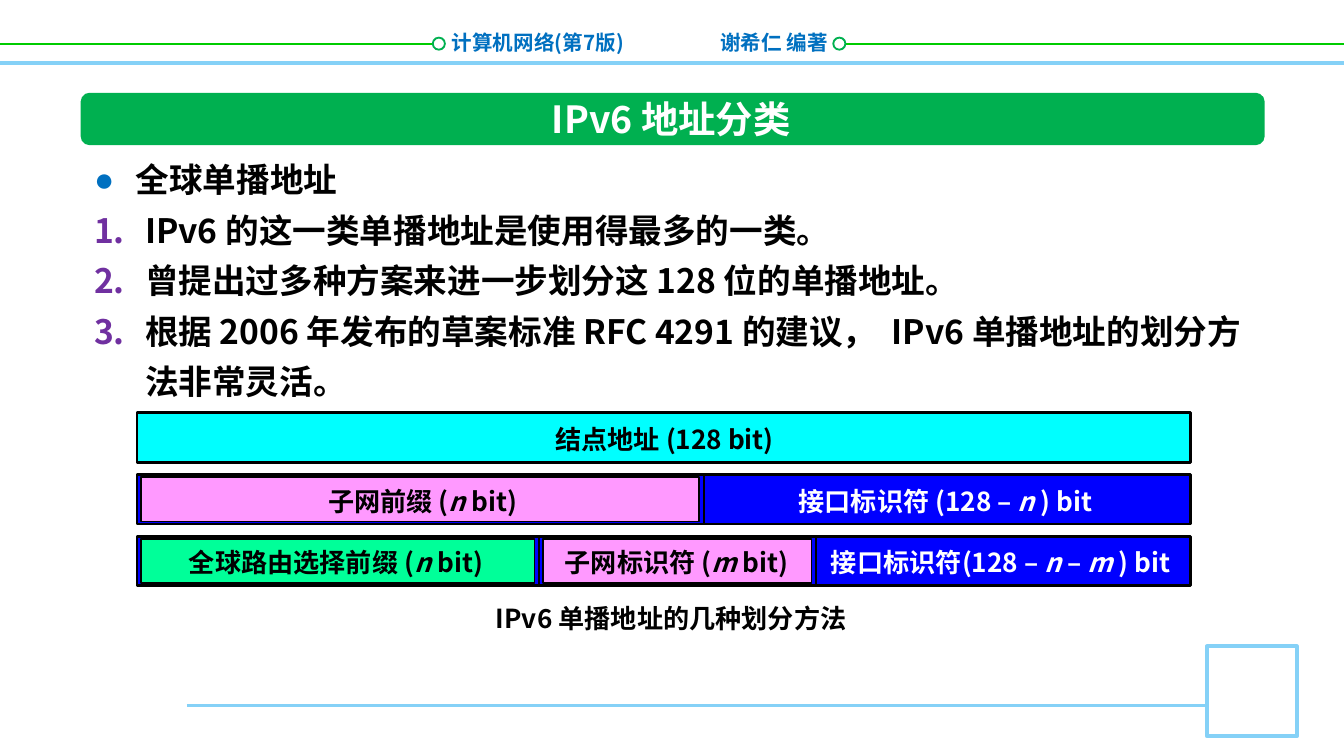
from dataclasses import dataclass

from lxml import etree
from pptx import Presentation
from pptx.dml.color import RGBColor
from pptx.enum.shapes import MSO_CONNECTOR, MSO_SHAPE
from pptx.enum.text import MSO_ANCHOR, MSO_AUTO_SIZE, PP_ALIGN
from pptx.oxml.ns import qn
from pptx.util import Inches, Pt

STRAIGHT = MSO_CONNECTOR.STRAIGHT
RECTANGLE, ELLIPSE, ROUNDED = MSO_SHAPE.RECTANGLE, MSO_SHAPE.OVAL, MSO_SHAPE.ROUNDED_RECTANGLE
TOP, MIDDLE = MSO_ANCHOR.TOP, MSO_ANCHOR.MIDDLE
LEFT, CENTER, RIGHT = PP_ALIGN.LEFT, PP_ALIGN.CENTER, PP_ALIGN.RIGHT
NO_AUTOFIT = MSO_AUTO_SIZE.NONE


@dataclass(frozen=True)
class Theme:
    font: str = "Noto Sans CJK SC"
    bullet_font: str = "Arial"
    black: str = "000000"
    white: str = "FFFFFF"
    sky: str = "85D1F7"
    lime: str = "00CC00"
    green: str = "00B050"
    accent: str = "0070C0"
    purple: str = "7030A0"
    blue: str = "0000FF"
    cyan: str = "00FFFF"
    pink: str = "FF99FF"
    mint: str = "00FF99"
    header_size: int = 11
    label_size: int = 14
    body_size: int = 18
    title_size: int = 20


@dataclass(frozen=True)
class Box:
    left: float
    top: float
    width: float
    height: float

    def lengths(self):
        return [Inches(value) for value in (self.left, self.top, self.width, self.height)]


@dataclass(frozen=True)
class Field:
    text: str
    label_left: float
    label_width: float
    color: str
    cell_left: float = 0
    cell_width: float = 0
    fill: str = ""


@dataclass(frozen=True)
class AddressRow:
    fill: str
    dividers: tuple[float, ...]
    fields: tuple[Field, ...]


THEME = Theme()
SLIDE_WIDTH = 10
SLIDE_HEIGHT = SLIDE_WIDTH * 9 / 16
BAR_LEFT, BAR_TOP, BAR_WIDTH, BAR_HEIGHT, BAR_PITCH = 1.02, 3.07, 7.84, 0.37, 0.46
CELL_HEIGHT = 0.33

ROWS = (
    AddressRow(THEME.cyan, (), (Field("结点地址 (128 bit)", 4, 1.89, THEME.black),)),
    AddressRow(THEME.blue, (5.24,), (
        Field("子网前缀 (_n _bit)", 2.32, 1.65, THEME.black, 1.05, 4.15, THEME.pink),
        Field("接口标识符 (128 – _n _) bit", 5.79, 2.49, THEME.white),
    )),
    AddressRow(THEME.blue, (4.01, 6.07), (
        Field("全球路由选择前缀 (_n _bit)", 1.28, 2.44, THEME.black, 1.05, 2.93, THEME.mint),
        Field("子网标识符 (_m _bit)", 4.08, 1.91, THEME.black, 4.04, 2, THEME.pink),
        Field("接口标识符(128 – _n_ – _m_ ) bit", 6.02, 2.85, THEME.white),
    )),
)

POINTS = (
    "IPv6 的这一类单播地址是使用得最多的一类。",
    "曾提出过多种方案来进一步划分这 128 位的单播地址。",
    "根据 2006 年发布的草案标准 RFC 4291 的建议，  IPv6 单播地址的划分方法非常灵活。",
)


def write_text(paragraph, text: str, *, size: int, color: str = THEME.black,
               align=LEFT, spacing: float | None = None) -> None:
    paragraph.alignment = align
    paragraph.space_before = Pt(0)
    if spacing:
        paragraph.line_spacing = Pt(spacing)
    for index, part in enumerate(text.split("_")):
        run = paragraph.add_run()
        run.text = part
        font = run.font
        font.name, font.size, font.bold = THEME.font, Pt(size), True
        font.italic = index % 2 == 1
        font.color.rgb = RGBColor.from_string(color)
        properties = run._r.get_or_add_rPr()
        etree.SubElement(properties, qn("a:ea"), typeface=THEME.font)


def set_frame(shape, box: Box, wrap: bool = True, anchor=TOP):
    shape.left, shape.top, shape.width, shape.height = box.lengths()
    frame = shape.text_frame
    frame.word_wrap = wrap
    frame.auto_size = NO_AUTOFIT
    frame.vertical_anchor = anchor
    return frame


def add_text(slide, text: str, box: Box, *, wrap: bool = True, anchor=TOP, **text_format) -> None:
    shape = slide.shapes.add_textbox(*box.lengths())
    frame = set_frame(shape, box, wrap, anchor)
    write_text(frame.paragraphs[0], text, **text_format)


def add_box(slide, kind, box: Box, fill: str, line: str = "", weight: float = 1):
    shape = slide.shapes.add_shape(kind, *box.lengths())
    shape.shadow.inherit = False
    shape.fill.solid()
    shape.fill.fore_color.rgb = RGBColor.from_string(fill)
    if line:
        shape.line.color.rgb = RGBColor.from_string(line)
        shape.line.width = Pt(weight)
    else:
        shape.line.fill.background()
    return shape


def add_line(slide, start: tuple[float, float], end: tuple[float, float],
             color: str, weight: float = 1) -> None:
    points = [Inches(value) for value in (*start, *end)]
    connector = slide.shapes.add_connector(STRAIGHT, *points)
    connector.line.color.rgb = RGBColor.from_string(color)
    connector.line.width = Pt(weight)
    etree.SubElement(connector._element.spPr, qn("a:effectLst"))


def add_bullet(paragraph, indent: float, color: str, font: str, tag: str,
               **attributes: str) -> None:
    properties = paragraph._p.get_or_add_pPr()
    properties.set("marL", str(Inches(indent)))
    properties.set("indent", str(-Inches(indent)))
    bullet_color = etree.SubElement(properties, qn("a:buClr"))
    etree.SubElement(bullet_color, qn("a:srgbClr"), val=color)
    etree.SubElement(properties, qn("a:buFont"), typeface=font)
    etree.SubElement(properties, qn(tag), **attributes)


def draw_frame(slide) -> None:
    add_line(slide, (0, 0.47), (SLIDE_WIDTH, 0.47), THEME.sky, 2)
    for start, end, circle_left in ((0, 3.24, 3.22), (6.2, SLIDE_WIDTH, 6.2)):
        add_line(slide, (start, 0.33), (end, 0.33), THEME.lime)
        add_box(slide, ELLIPSE, Box(circle_left, 0.28, 0.09, 0.09), THEME.white, THEME.green)
    for text, left, width, align in (("谢希仁 编著", 5.26, 1.16, LEFT),
                                     ("计算机网络(第7版)", 3.24, 1.5, RIGHT)):
        add_text(slide, text, Box(left, 0.18, width, 0.29), size=THEME.header_size,
                 color=THEME.accent, align=align, spacing=13)
    add_line(slide, (1.39, 5.25), (8.98, 5.25), THEME.sky, 1.5)
    add_box(slide, RECTANGLE, Box(8.98, 4.81, 0.67, 0.67), THEME.white, THEME.sky, 2)


def draw_title(slide) -> None:
    banner = add_box(slide, ROUNDED, Box(0.6, 0.69, 8.81, 0.39), THEME.green)
    banner.adjustments[0] = 0.17
    title = slide.shapes.title
    frame = set_frame(title, Box(2.12, 0.66, 5.75, 0.44), anchor=MIDDLE)
    write_text(frame.paragraphs[0], "IPv6 地址分类", size=THEME.title_size,
               color=THEME.white, align=CENTER)
    banner._element.addnext(title._element)


def draw_body(slide) -> None:
    frame = set_frame(slide.placeholders[1], Box(0.6, 1.06, 8.81, 1.99))
    heading = frame.paragraphs[0]
    add_bullet(heading, 0.31, THEME.accent, THEME.bullet_font, "a:buChar", char="●")
    write_text(heading, "全球单播地址", size=THEME.body_size, spacing=27)
    for text in POINTS:
        paragraph = frame.add_paragraph()
        add_bullet(paragraph, 0.38, THEME.purple, THEME.font, "a:buAutoNum", type="arabicPeriod")
        write_text(paragraph, text, size=THEME.body_size, spacing=27)


def draw_row(slide, row: AddressRow, top: float) -> None:
    add_box(slide, RECTANGLE, Box(BAR_LEFT, top, BAR_WIDTH, BAR_HEIGHT), row.fill, THEME.black, 1.5)
    for x in row.dividers:
        add_line(slide, (x, top), (x, top + BAR_HEIGHT), THEME.black)
    for field in row.fields:
        if field.fill:
            cell = Box(field.cell_left, top + 0.02, field.cell_width, CELL_HEIGHT)
            add_box(slide, RECTANGLE, cell, field.fill, THEME.black, 0.75)
        label = Box(field.label_left, top + 0.03, field.label_width, CELL_HEIGHT)
        add_text(slide, field.text, label, wrap=False, anchor=MIDDLE,
                 size=THEME.label_size, color=field.color, align=CENTER)


def main() -> None:
    presentation = Presentation()
    presentation.slide_width = Inches(SLIDE_WIDTH)
    presentation.slide_height = Inches(SLIDE_HEIGHT)
    slide = presentation.slides.add_slide(presentation.slide_layouts[1])
    draw_frame(slide)
    draw_title(slide)
    draw_body(slide)
    for index, row in enumerate(ROWS):
        draw_row(slide, row, BAR_TOP + index * BAR_PITCH)
    add_text(slide, "IPv6 单播地址的几种划分方法", Box(3.57, 4.43, 2.85, 0.34),
             size=THEME.label_size, align=CENTER, spacing=17)
    presentation.save("out.pptx")


if __name__ == "__main__":
    main()
